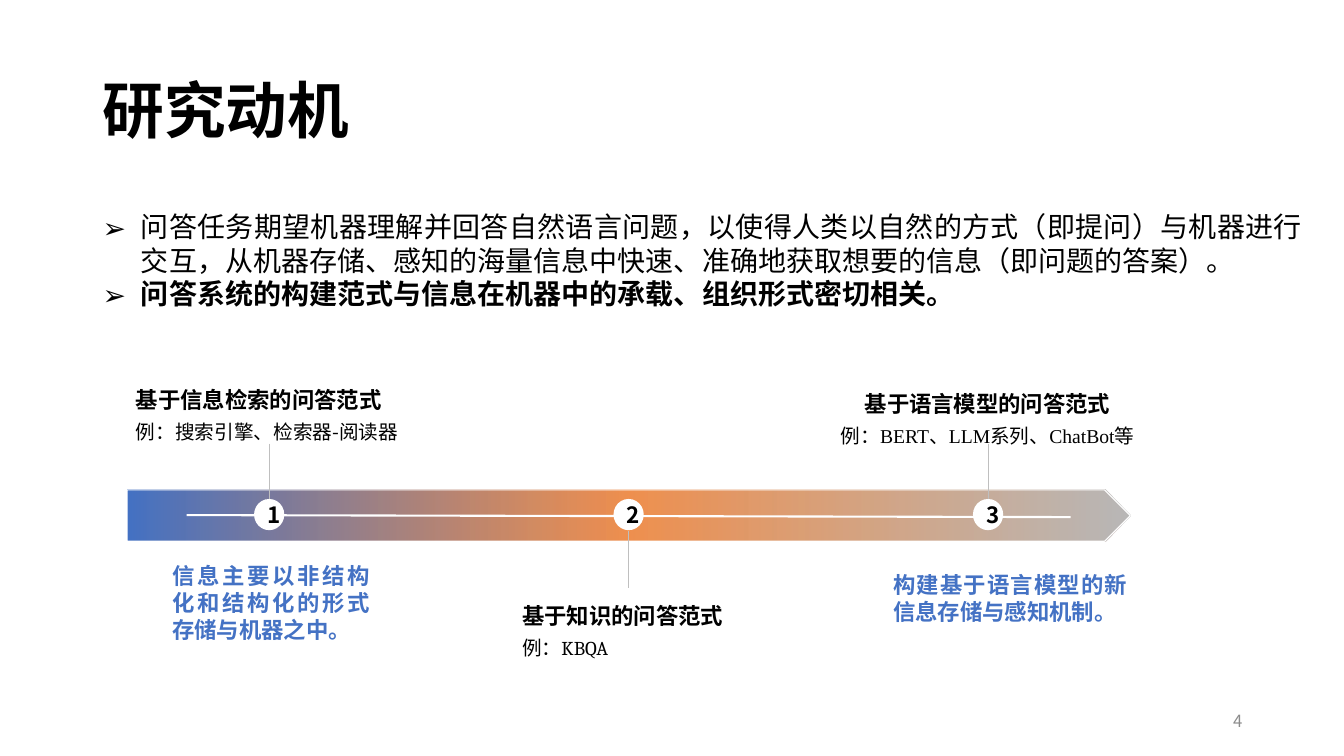
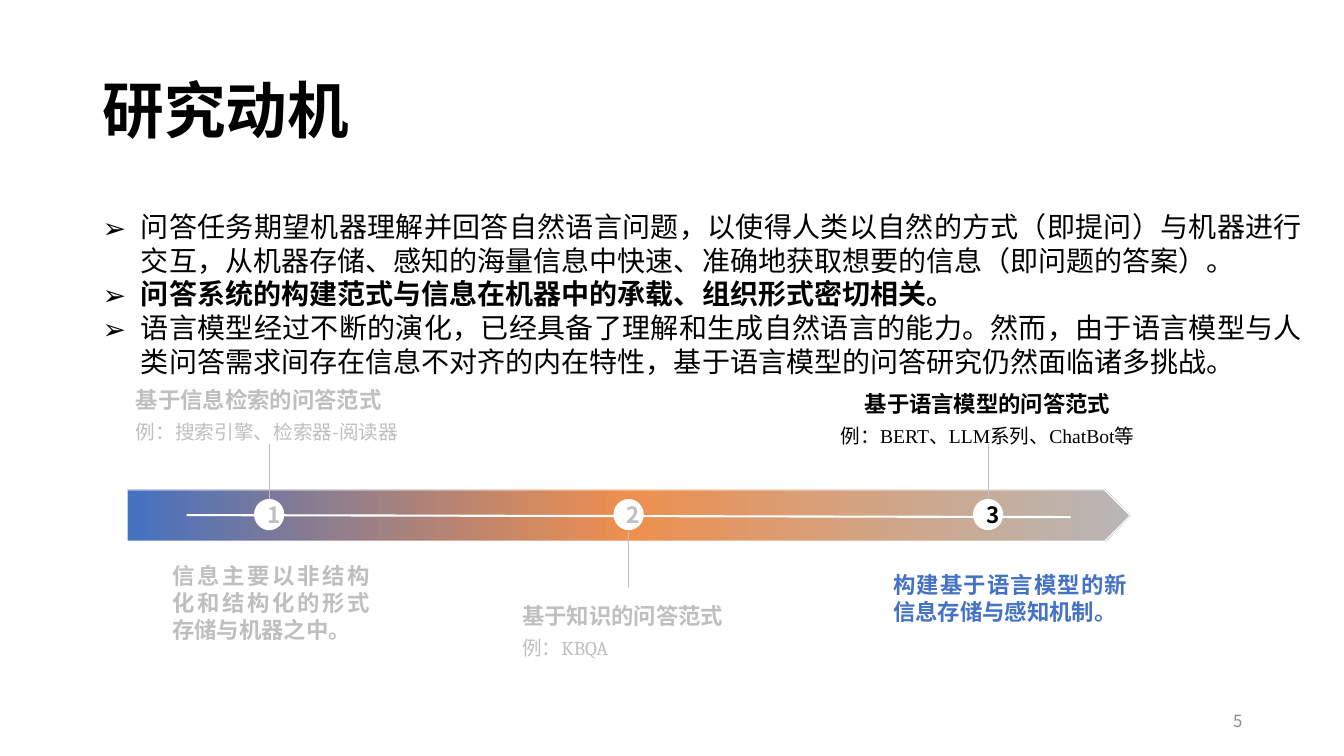
from lxml import etree
from pptx import Presentation
from pptx import util as u
from pptx.dml.color import RGBColor
from pptx.enum import shapes, text
from pptx.oxml import ns

W, H = 13.33, 7.5
SANS, SERIF, TIMES = "Noto Sans CJK SC", "Cambria", "Times New Roman"
COLORS = {"ink": "000000", "blue": "4472C4", "orange": "ED7D31", "grey": "A5A5A5",
          "muted": "BFBFBF", "number": "8C8C8C", "white": "FFFFFF"}
ALIGN = {"l": text.PP_ALIGN.LEFT, "c": text.PP_ALIGN.CENTER,
         "r": text.PP_ALIGN.RIGHT, "j": text.PP_ALIGN.JUSTIFY}

TITLE = "研究动机"
POINTS = [
    ("问答任务期望机器理解并回答自然语言问题，以使得人类以自然的方式（即提问）与机器进行交互，"
     "从机器存储、感知的海量信息中快速、准确地获取想要的信息（即问题的答案）。", False),
    ("问答系统的构建范式与信息在机器中的承载、组织形式密切相关。", True),
    ("语言模型经过不断的演化，已经具备了理解和生成自然语言的能力。然而，由于语言模型与人类问答需求间"
     "存在信息不对齐的内在特性，基于语言模型的问答研究仍然面临诸多挑战。", False),
]
# Each stage: heading, example runs (text, font), heading box, note, note box
STAGES = [
    dict(head="基于信息检索的问答范式", example=[("例：搜索引擎、检索器-阅读器", SANS)],
         box=(1.25, 3.7, 2.87, 0.59), font=SANS, align="j", pin=(4.4, 4.95, 0.25),
         note="信息主要以非结构化和结构化的形式存储与机器之中。", note_box=(1.61, 5.53, 2.16, 0.59)),
    dict(head="基于知识的问答范式", example=[("例：", SANS), ("KBQA", SERIF)],
         box=(5.08, 5.84, 2.29, 0.59), font=SANS, align="j", pin=(5.83, 5.27, 0.5)),
    dict(head="基于语言模型的问答范式", example=[("例：BERT、LLM系列、ChatBot等", TIMES)],
         box=(8.22, 3.74, 3.15, 0.59), font=TIMES, align="c", pin=(4.4, 4.95, 0.25),
         note="构建基于语言模型的新信息存储与感知机制。", note_box=(8.76, 5.62, 2.52, 0.59)),
]
# Each slide: page number, points shown, indexes of the stages in focus
SLIDES = [(4, 2, {0, 1, 2}), (5, 3, {2})]

BANNER = (1.26, 4.86, 9.95, 0.51)
BANNER_STOPS = [(0, "blue", 100), (50, "orange", 85), (100, "grey", 78)]
FIRST_X, STEP_X, DOT_Y, DOT_W, DOT_H = 2.67, 3.565, 4.95, 0.3, 0.31


def rgb(name):
    return RGBColor.from_string(COLORS[name])


def inches(values):
    return [u.Inches(v) for v in values]


def write(tf, runs, size=16, font=SANS, color="ink", bold=False, align="l",
          spacing=None, bullet=None, first=True):
    """Add one paragraph; runs is a string or a list of (text, font)."""
    p = tf.paragraphs[0] if first else tf.add_paragraph()
    p.alignment = ALIGN[align]
    if spacing:
        p.line_spacing = spacing
    if bullet:
        pPr = p._p.get_or_add_pPr()
        indent = u.Inches(0.38)
        pPr.set("marL", str(indent))
        pPr.set("indent", str(-indent))
        etree.SubElement(pPr, ns.qn("a:buFont")).set("typeface", "Wingdings")
        pPr[-1].set("typeface", SANS)
        etree.SubElement(pPr, ns.qn("a:buChar")).set("char", bullet)
    for words, face in [(runs, font)] if isinstance(runs, str) else runs:
        r = p.add_run()
        r.text = words
        r.font.size, r.font.bold, r.font.name = u.Pt(size), bold, face
        r.font.color.rgb = rgb(color)
        latin = r._r.rPr.find(ns.qn("a:latin"))
        ea = etree.Element(ns.qn("a:ea"), typeface=SANS)
        latin.addnext(ea)


def text_box(slide, box, anchor=text.MSO_ANCHOR.TOP):
    tf = slide.shapes.add_textbox(*inches(box)).text_frame
    tf.word_wrap = True
    tf.vertical_anchor = anchor
    return tf


def line(slide, x1, y1, x2, y2, color, width):
    c = slide.shapes.add_connector(shapes.MSO_CONNECTOR.STRAIGHT, *inches((x1, y1, x2, y2)))
    c.line.color.rgb = rgb(color)
    c.line.width = u.Pt(width)
    etree.SubElement(c._element.spPr, ns.qn("a:effectLst"))


def banner(slide):
    sp = slide.shapes.add_shape(shapes.MSO_SHAPE.PENTAGON, *inches(BANNER))
    sp.shadow.inherit = False
    sp.line.color.rgb = rgb("white")
    sp.line.width = u.Pt(0.75)
    sp.fill.gradient()
    sp.fill.gradient_angle = 0
    stops = sp._element.spPr.find(ns.qn("a:gradFill")).find(ns.qn("a:gsLst"))
    for old in list(stops):
        stops.remove(old)
    for pos, color, opacity in BANNER_STOPS:
        gs = etree.SubElement(stops, ns.qn("a:gs"), pos=str(pos * 1000))
        clr = etree.SubElement(gs, ns.qn("a:srgbClr"), val=COLORS[color])
        if opacity < 100:
            etree.SubElement(clr, ns.qn("a:alpha"), val=str(opacity * 1000))
    line(slide, 1.85, 5.11, 10.62, 5.13, "white", 1.5)


def dot(slide, x, number, color):
    sp = slide.shapes.add_shape(shapes.MSO_SHAPE.OVAL,
                                *inches((x - DOT_W / 2, DOT_Y, DOT_W, DOT_H)))
    sp.shadow.inherit = False
    sp.fill.solid()
    sp.fill.fore_color.rgb = rgb("white")
    sp.line.fill.background()
    tf = sp.text_frame
    tf.word_wrap = False
    tf.vertical_anchor = text.MSO_ANCHOR.MIDDLE
    tf.margin_left = u.Inches(0.1)
    tf.margin_right = tf.margin_top = tf.margin_bottom = 0
    write(tf, str(number), color=color, bold=True, align="c")


def stage(slide, index, item, focused):
    x = FIRST_X + index * STEP_X
    color = "ink" if focused else "muted"
    dot(slide, x, index + 1, color)
    start, end, width = item["pin"]
    line(slide, x, start, x, end, "muted", width)
    tf = text_box(slide, item["box"])
    shared = dict(color=color, align=item["align"], spacing=1.3)
    write(tf, item["head"], font=item["font"], bold=True, **shared)
    write(tf, item["example"], size=14, first=False, **shared)
    if "note" in item:
        write(text_box(slide, item["note_box"]), item["note"], bold=True, align="j",
              color="blue" if focused else "muted")


def build(prs, page, point_count, focus):
    slide = prs.slides.add_slide(prs.slide_layouts[6])
    middle = text.MSO_ANCHOR.MIDDLE
    write(text_box(slide, (0.92, 0.4, 11.5, 1.45), middle), TITLE,
          size=44, bold=True, spacing=0.9)
    tf = text_box(slide, (0.92, 2.03, 12.09, 1.11 if point_count == 2 else 1.78))
    for i, (words, bold) in enumerate(POINTS[:point_count]):
        write(tf, words, size=20, font=SERIF, bold=bold, align="j", bullet="➢", first=i == 0)
    write(text_box(slide, (9.42, 6.95, 3, 0.4), middle), str(page),
          size=12, color="number", align="r")
    banner(slide)
    for i, item in enumerate(STAGES):
        stage(slide, i, item, i in focus)


def main():
    prs = Presentation()
    prs.slide_width, prs.slide_height = inches((W, H))
    for page, point_count, focus in SLIDES:
        build(prs, page, point_count, focus)
    prs.save("out.pptx")


if __name__ == "__main__":
    main()
